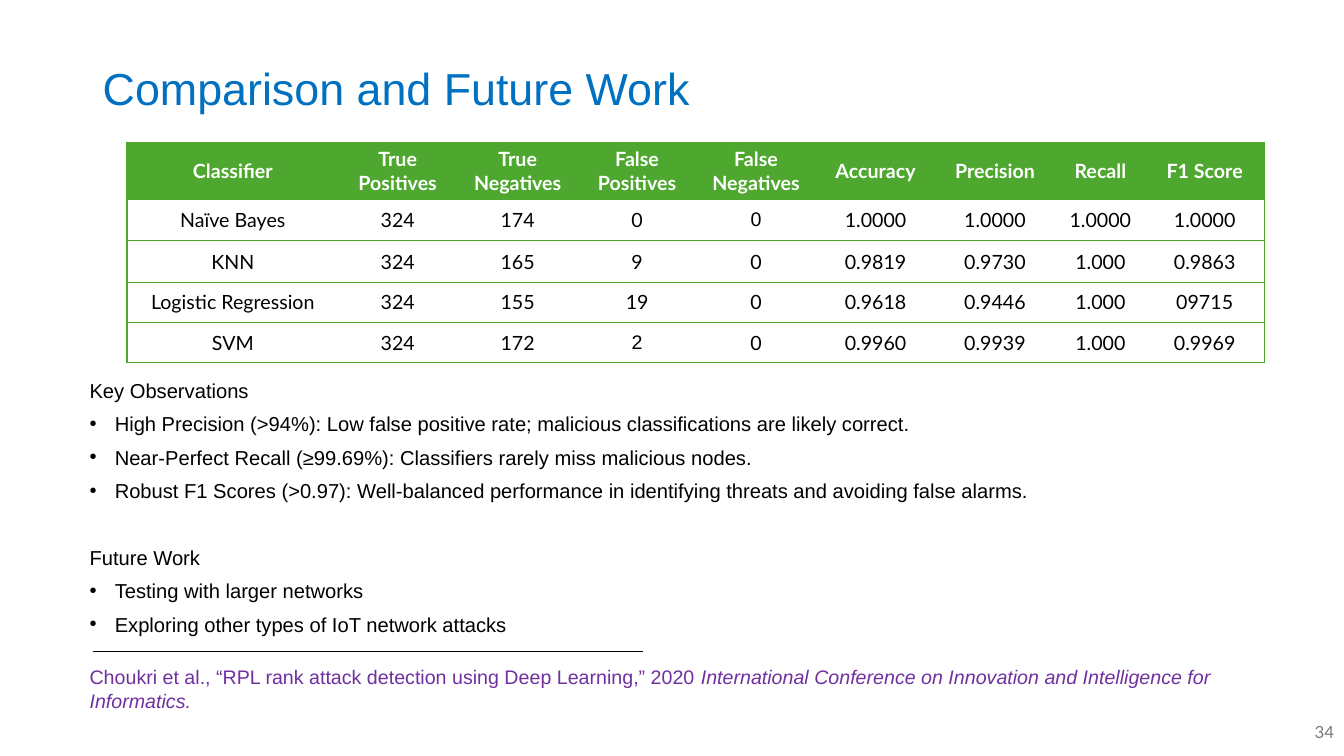
from lxml.etree import SubElement
from pptx import Presentation
from pptx.dml.color import RGBColor
from pptx.enum.shapes import MSO_CONNECTOR as CONN
from pptx.enum.text import MSO_ANCHOR as ANCHOR, PP_ALIGN as ALIGN
from pptx.oxml.ns import qn
from pptx.util import Pt

PX = 9144
BLUE = RGBColor(0x00, 0x70, 0xC0)
GREEN = RGBColor(0x4E, 0xA7, 0x2E)
PURPLE = RGBColor(0x70, 0x30, 0xA0)
GRAY = RGBColor(0x79, 0x79, 0x79)
BLACK = RGBColor(0, 0, 0)
WHITE = RGBColor(255, 255, 255)


def style(font, name, size, color):
    font.name = name
    font.size = Pt(size)
    font.color.rgb = color


def text_box(s, x, y, w, h, anchor=ANCHOR.TOP):
    tf = s.shapes.add_textbox(x * PX, y * PX, w * PX, h * PX).text_frame
    tf.word_wrap = True
    tf.vertical_anchor = anchor
    return tf


prs = Presentation()
prs.slide_width = 1333 * PX
prs.slide_height = 750 * PX
s = prs.slides.add_slide(prs.slide_layouts[6])

tf = text_box(s, 92, 40, 1150, 101, ANCHOR.MIDDLE)
tf.text = "Comparison and Future Work"
p = tf.paragraphs[0]
p.line_spacing = 0.9
style(p.runs[0].font, "Arial", 32, BLUE)

tf = text_box(s, 1033, 706, 300, 40, ANCHOR.MIDDLE)
tf.text = "34"
p = tf.paragraphs[0]
p.alignment = ALIGN.RIGHT
style(p.runs[0].font, "Lato", 12, GRAY)

ROWS = [
    ["Classifier", "True Positives", "True\nNegatives", "False\nPositives", "False\nNegatives",
     "Accuracy", "Precision", "Recall", "F1 Score"],
    ["Naïve Bayes", "324", "174", "0", "0", "1.0000", "1.0000", "1.0000", "1.0000"],
    ["KNN", "324", "165", "9", "0", "0.9819", "0.9730", "1.000", "0.9863"],
    ["Logistic Regression", "324", "155", "19", "0", "0.9618", "0.9446", "1.000", "09715"],
    ["SVM", "324", "172", "2", "0", "0.9960", "0.9939", "1.000", "0.9969"],
]
COL_WIDTHS = [210, 117, 121, 116, 120, 117, 120, 89, 118]
ROW_HEIGHTS = [57, 41, 41, 40, 40]
ARIAL_CELLS = {(1, 4), (4, 3)}

table = s.shapes.add_table(len(ROWS), len(COL_WIDTHS), 126 * PX, 141 * PX,
                           sum(COL_WIDTHS) * PX, sum(ROW_HEIGHTS) * PX).table
table.horz_banding = False
for col, width in zip(table.columns, COL_WIDTHS):
    col.width = width * PX
for i, values in enumerate(ROWS):
    table.rows[i].height = ROW_HEIGHTS[i] * PX
    for j, value in enumerate(values):
        cell = table.cell(i, j)
        cell.text = value
        cell.vertical_anchor = ANCHOR.MIDDLE
        for p in cell.text_frame.paragraphs:
            p.alignment = ALIGN.CENTER
            font = p.runs[0].font
            name = "Arial" if (i, j) in ARIAL_CELLS else "Lato"
            style(font, name, 14, BLACK if i else WHITE)
            font.bold = i == 0
        tc_pr = cell._tc.get_or_add_tcPr()
        shown = {"a:lnL": j == 0, "a:lnR": j == len(values) - 1, "a:lnT": True, "a:lnB": True}
        for tag, visible in shown.items():
            ln = SubElement(tc_pr, qn(tag), w=str(Pt(1)))
            if visible:
                fill = SubElement(ln, qn("a:solidFill"))
                SubElement(fill, qn("a:srgbClr"), val=str(GREEN))
            else:
                SubElement(ln, qn("a:noFill"))
        cell.fill.solid()
        cell.fill.fore_color.rgb = WHITE if i else GREEN

rule = s.shapes.add_connector(CONN.STRAIGHT, 92 * PX, 646 * PX, 638 * PX, 646 * PX)
rule.line.color.rgb = BLACK
rule.line.width = Pt(0.75)
SubElement(rule._element.spPr, qn("a:effectLst"))

tf = text_box(s, 79, 655, 1152, 57)
p = tf.paragraphs[0]
CITATION = [
    ("Choukri et al., “RPL rank attack detection using Deep Learning,” 2020", False),
    (" International Conference on Innovation and Intelligence for Informatics.", True),
]
for text, italic in CITATION:
    r = p.add_run()
    r.text = text
    style(r.font, "Arial", 14, PURPLE)
    r.font.italic = italic

NOTES = [
    ("Key Observations", False, 0),
    ("High Precision (>94%): Low false positive rate; malicious classifications are likely correct.", True, 10),
    ("Near-Perfect Recall (≥99.69%): Classifiers rarely miss malicious nodes.", True, 10),
    ("Robust F1 Scores (>0.97): Well-balanced performance in identifying threats and avoiding false alarms.",
     True, 10),
    ("Future Work", False, 34),
    ("Testing with larger networks", True, 10),
    ("Exploring other types of IoT network attacks", True, 10),
]
tf = text_box(s, 79, 375, 1150, 261)
for i, (text, bulleted, space) in enumerate(NOTES):
    p = tf.add_paragraph() if i else tf.paragraphs[0]
    p.text = text
    p.alignment = ALIGN.JUSTIFY
    p.line_spacing = 0.8
    p.space_before = Pt(space)
    if bulleted:
        p_pr = p._p.get_or_add_pPr()
        p_pr.set("marL", str(25 * PX))
        p_pr.set("indent", str(-25 * PX))
        SubElement(p_pr, qn("a:buFont"), typeface="Arial")
        SubElement(p_pr, qn("a:buChar"), char="•")
    style(p.runs[0].font, "Arial", 14.4, BLACK)

prs.save("out.pptx")
